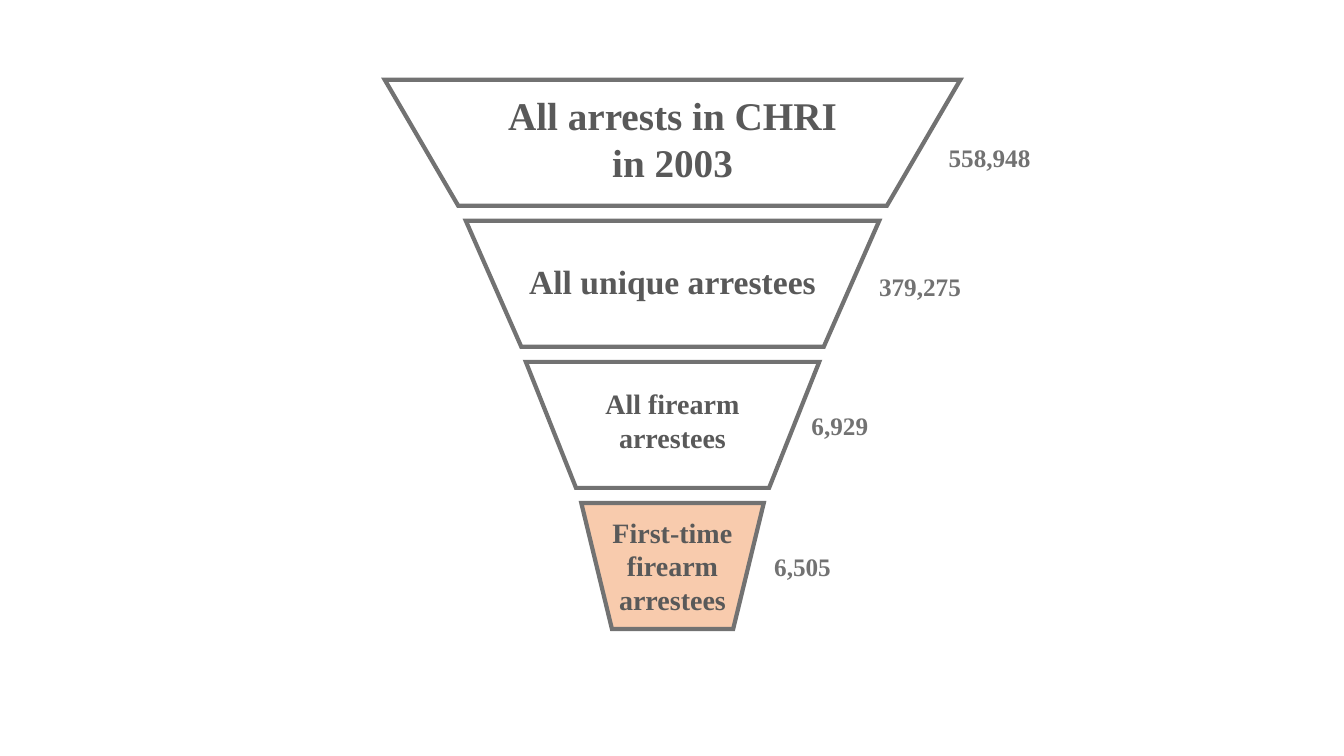
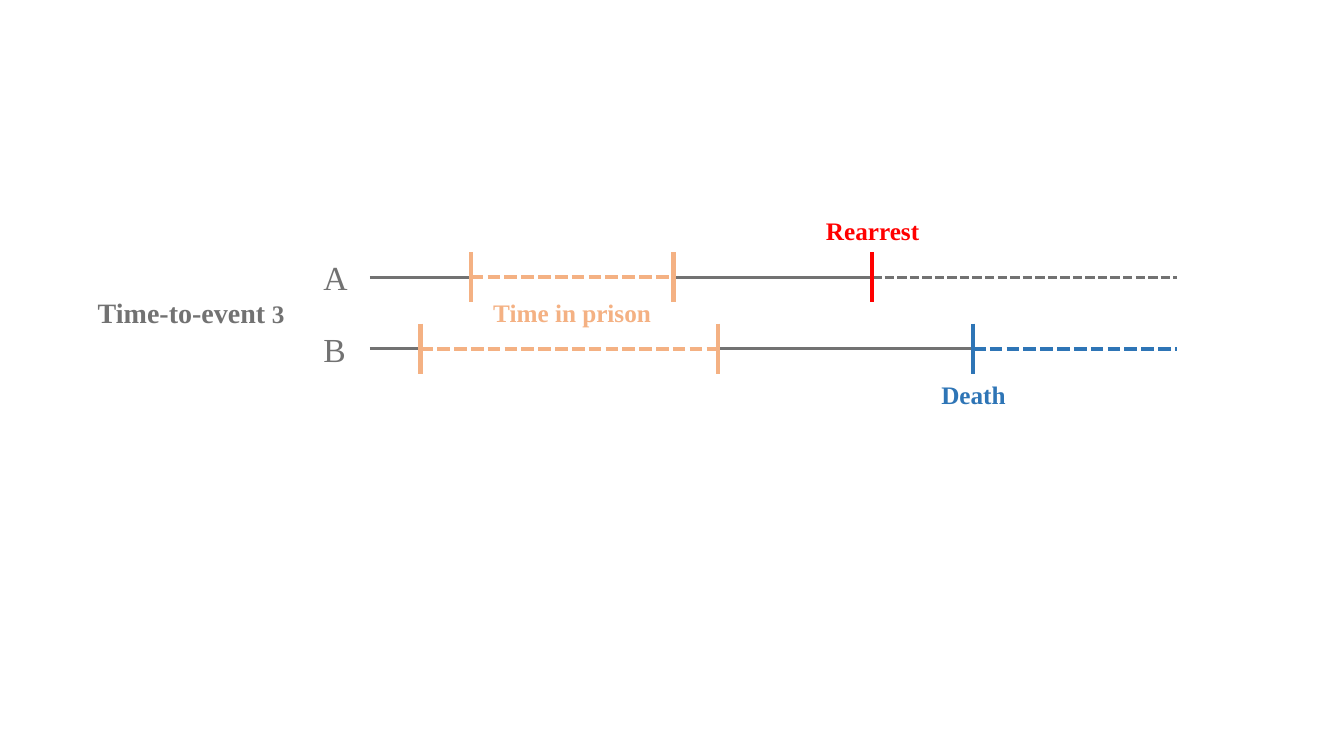
"""Build a funnel of arrest counts and a time-to-event diagram."""
from lxml import etree
from pptx import Presentation
from pptx.dml.color import RGBColor
from pptx.enum.dml import MSO_LINE
from pptx.enum.shapes import MSO_CONNECTOR, MSO_SHAPE
from pptx.enum.text import PP_ALIGN
from pptx.oxml.ns import qn
from pptx.util import Inches, Pt

STRAIGHT = MSO_CONNECTOR.STRAIGHT
TRAPEZOID = MSO_SHAPE.TRAPEZOID
DASHED = MSO_LINE.SQUARE_DOT
LEFT, CENTER = PP_ALIGN.LEFT, PP_ALIGN.CENTER
FONT = "Times New Roman"
GRAY, DARK_GRAY = "727272", "595959"
PEACH, ORANGE, RED, BLUE = "F8CBAD", "F4B183", "FF0000", "2E75B6"
color = RGBColor.from_string


def add_text(slide, text, left, top, width, height, *, size=18, fill=GRAY,
             bold=True, align=LEFT, tail="", tail_size=18):
    frame = slide.shapes.add_textbox(
        Inches(left), Inches(top), Inches(width), Inches(height)).text_frame
    frame.word_wrap = True
    for i, line in enumerate(text.split("\n")):
        paragraph = frame.add_paragraph() if i else frame.paragraphs[0]
        paragraph.alignment = align
        for content, points in ((line, size), (tail, tail_size)):
            if content:
                run = paragraph.add_run()
                run.text = content
                run.font.name = FONT
                run.font.size = Pt(points)
                run.font.bold = bold
                run.font.color.rgb = color(fill)


def add_line(slide, x1, y1, x2, y2, stroke, weight=3, dash=None):
    line = slide.shapes.add_connector(
        STRAIGHT, Inches(x1), Inches(y1), Inches(x2), Inches(y2))
    line.line.color.rgb = color(stroke)
    line.line.width = Pt(weight)
    if dash:
        line.line.dash_style = dash
    etree.SubElement(line._element.spPr, qn("a:effectLst"))


deck = Presentation()
deck.slide_width, deck.slide_height = Inches(13.33), Inches(7.5)
blank = deck.slide_layouts[6]

funnel = deck.slides.add_slide(blank)
FUNNEL_CENTER, FUNNEL_TOP = 6.67, 0.79
STAGE_HEIGHT, STAGE_STEP = 1.25, 1.4
LABEL_WIDTH = 8.08
stages = [
    ("All arrests in CHRI\nin 2003", 28, 0.86, 1.04, 5.71, 0.583, None,
     "558,948", 9.31, 1.36),
    ("All unique arrestees", 24, 2.54, 0.5, 4.1, 0.44, None,
     "379,275", 8.62, 2.64),
    ("All firearm\narrestees", 20, 3.79, 0.77, 2.91, 0.398, None,
     "6,929", 7.95, 4.02),
    ("First-time\nfirearm\narrestees", 20, 5.06, 1.11, 1.81, 0.243, PEACH,
     "6,505", 7.58, 5.42),
]
for i, (label, size, label_top, label_height, width, slant, fill,
        count, count_left, count_top) in enumerate(stages):
    stage = funnel.shapes.add_shape(
        TRAPEZOID, Inches(FUNNEL_CENTER - width / 2),
        Inches(FUNNEL_TOP + i * STAGE_STEP), Inches(width), Inches(STAGE_HEIGHT))
    stage.rotation = 180
    stage.adjustments[0] = slant
    stage.shadow.inherit = False
    if fill:
        stage.fill.solid()
        stage.fill.fore_color.rgb = color(fill)
    else:
        stage.fill.background()
    stage.line.color.rgb = color(GRAY)
    stage.line.width = Pt(3)
    etree.SubElement(stage._element.spPr.find(qn("a:ln")), qn("a:miter"), lim="800000")
    add_text(funnel, label, FUNNEL_CENTER - LABEL_WIDTH / 2, label_top,
             LABEL_WIDTH, label_height, size=size, fill=DARK_GRAY, align=CENTER)
    add_text(funnel, count, count_left, count_top, 1.18, 0.4)

timeline = deck.slides.add_slide(blank)
START, END = 3.67, 11.67
TICK = 0.25
subjects = [
    ("A", 2.75, 4.67, 6.68, 8.65, RED, GRAY, 2.25),
    ("B", 3.46, 4.17, 7.12, 9.65, BLUE, BLUE, 3),
]
for name, y, entry, release, event, event_color, after_color, after_weight in subjects:
    add_text(timeline, name, 3.11, y - TICK, 0.42, 0.5, size=24, bold=False)
    add_line(timeline, START, y, entry, y, GRAY, 2.25)
    add_line(timeline, release, y, event, y, GRAY, 2.25)
    add_line(timeline, entry, y, release, y, ORANGE, dash=DASHED)
    add_line(timeline, event, y, END, y, after_color, after_weight, DASHED)
    for x, tick_color in ((entry, ORANGE), (release, ORANGE), (event, event_color)):
        add_line(timeline, x, y - TICK, x, y + TICK, tick_color)

for caption, left, top, fill in (("Rearrest", 7.39, 2.09, RED),
                                 ("Death", 8.39, 3.71, BLUE),
                                 ("Time in prison", 4.41, 2.9, ORANGE)):
    add_text(timeline, caption, left, top, 2.53, 0.4, fill=fill, align=CENTER)
add_text(timeline, "Time-to-event", 0.68, 2.88, 2.43, 0.44, size=20,
         align=CENTER, tail=" 3")

deck.save("out.pptx")
